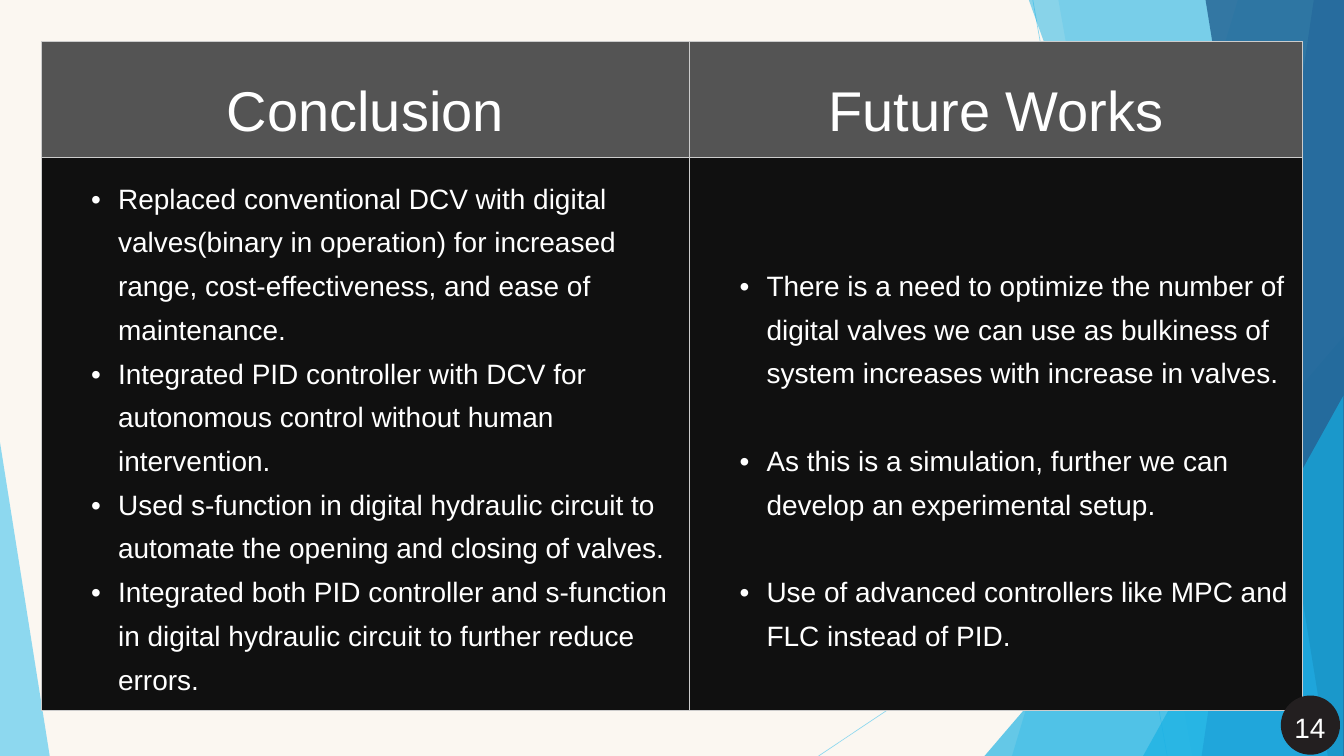
from dataclasses import dataclass

from lxml.etree import SubElement
from pptx import Presentation
from pptx.dml.color import RGBColor
from pptx.enum.shapes import MSO_CONNECTOR, MSO_SHAPE
from pptx.enum.text import MSO_ANCHOR, PP_ALIGN
from pptx.oxml.ns import qn
from pptx.util import Pt

WIDTH, HEIGHT = 1440, 810


@dataclass(frozen=True)
class Theme:
    font: str = "Arial"
    background: str = "FBF7F1"
    sky: str = "5FCBEF"
    cyan: str = "16B0E3"
    blue: str = "2E83C3"
    navy: str = "226292"
    header: str = "545454"
    body: str = "101010"
    border: str = "CCCCCC"
    badge: str = "231F20"
    text: str = "FFFFFF"
    heading_size: int = 60
    body_size: int = 30
    line_spacing: float = 1.4
    border_width: float = 0.75


class SlideBuilder:
    def __init__(self, slide, theme):
        self.slide = slide
        self.shapes = slide.shapes
        self.theme = theme
        fill = slide.background.fill
        fill.solid()
        fill.fore_color.rgb = RGBColor.from_string(theme.background)

    def set_alpha(self, sp, percent):
        for color in sp._element.iter(qn("a:srgbClr")):
            SubElement(color, qn("a:alpha"), val=str(percent * 1000))

    def paint(self, sp, color, alpha=100):
        sp.shadow.inherit = False
        sp.fill.solid()
        sp.fill.fore_color.rgb = RGBColor.from_string(color)
        sp.line.fill.background()
        if alpha < 100:
            self.set_alpha(sp, alpha)

    def line(self, start, end, color, alpha):
        sp = self.shapes.add_connector(
            MSO_CONNECTOR.STRAIGHT, *(Pt(v) for v in (*start, *end)))
        sp.line.color.rgb = RGBColor.from_string(color)
        sp.line.width = Pt(self.theme.border_width)
        SubElement(sp._element.spPr, qn("a:effectLst"))
        self.set_alpha(sp, alpha)

    def ray(self, top_left, bottom_left, color, alpha):
        """Full-height band running from its slanted left edge to the slide's right."""
        builder = self.shapes.build_freeform(Pt(top_left), 0)
        corners = [(WIDTH, 0), (WIDTH, HEIGHT), (bottom_left, HEIGHT)]
        builder.add_line_segments([(Pt(x), Pt(y)) for x, y in corners])
        self.paint(builder.convert_to_shape(), color, alpha)

    def shape(self, kind, box, color, alpha=100, adjustment=None):
        sp = self.shapes.add_shape(kind, *(Pt(v) for v in box))
        if adjustment is not None:
            sp.adjustments[0] = adjustment
        self.paint(sp, color, alpha)

    def fill_text(self, tf, texts, size, align=PP_ALIGN.LEFT, bullets=False, gap=0):
        tf.word_wrap = True
        for i, text in enumerate(texts):
            p = tf.paragraphs[0] if i == 0 else tf.add_paragraph()
            formats = {"alignment": align, "line_spacing": self.theme.line_spacing,
                       "space_before": Pt(gap if i else 0), "space_after": Pt(0)}
            for name, value in formats.items():
                setattr(p, name, value)
            if bullets:
                self.bullet(p)
            r = p.add_run()
            r.text = text
            for name, value in {"name": self.theme.font, "size": Pt(size)}.items():
                setattr(r.font, name, value)
            r.font.color.rgb = RGBColor.from_string(self.theme.text)

    def bullet(self, p):
        pPr = p._p.get_or_add_pPr()
        for name, value in {"marL": Pt(67.5), "indent": Pt(-28.8)}.items():
            pPr.set(name, str(value))
        color = SubElement(pPr, qn("a:buClr"))
        SubElement(color, qn("a:srgbClr"), val=self.theme.text)
        SubElement(pPr, qn("a:buFont"), typeface=self.theme.font)
        SubElement(pPr, qn("a:buChar"), char="•")

    def text(self, box, text, size, margin):
        sp = self.shapes.add_textbox(*(Pt(v) for v in box))
        tf = sp.text_frame
        tf.vertical_anchor = MSO_ANCHOR.MIDDLE
        for side in ("left", "top", "right", "bottom"):
            setattr(tf, f"margin_{side}", Pt(margin))
        self.fill_text(tf, [text], size, PP_ALIGN.CENTER)

    def table(self, left, top, widths, heights):
        table = self.shapes.add_table(
            len(heights), len(widths), Pt(left), Pt(top),
            Pt(sum(widths)), Pt(sum(heights))).table
        table.first_row = table.horz_banding = False
        for column, width in zip(table.columns, widths):
            column.width = Pt(width)
        for row, height in zip(table.rows, heights):
            row.height = Pt(height)
        return table

    def cell(self, cell, color, texts, size, margin=15, top=15, **style):
        formats = {"vertical_anchor": MSO_ANCHOR.MIDDLE, "margin_left": Pt(margin),
                   "margin_right": Pt(margin), "margin_top": Pt(top),
                   "margin_bottom": Pt(margin)}
        for name, value in formats.items():
            setattr(cell, name, value)
        tcPr = cell._tc.get_or_add_tcPr()
        for edge in ("lnL", "lnR", "lnT", "lnB"):
            ln = SubElement(tcPr, qn(f"a:{edge}"),
                            w=str(Pt(self.theme.border_width)))
            fill = SubElement(ln, qn("a:solidFill"))
            SubElement(fill, qn("a:srgbClr"), val=self.theme.border)
        cell.fill.solid()
        cell.fill.fore_color.rgb = RGBColor.from_string(color)
        self.fill_text(cell.text_frame, texts, size, **style)


CONCLUSIONS = [
    "Replaced conventional DCV with digital valves(binary in operation) for "
    "increased range, cost-effectiveness, and ease of maintenance.",
    "Integrated PID controller with DCV for autonomous control without human "
    "intervention.",
    "Used s-function in digital hydraulic circuit to automate the opening and "
    "closing of valves.",
    "Integrated both PID controller and s-function in digital hydraulic circuit "
    "to further reduce errors.",
]
FUTURE_WORKS = [
    "There is a need to optimize the number of digital valves we can use as "
    "bulkiness of system increases with increase in valves.",
    "As this is a simulation, further we can develop an experimental setup.",
    "Use of advanced controllers like MPC and FLC instead of PID.",
]


def draw_backdrop(s, theme):
    s.line((1106.6, 0), (1250.6, HEIGHT), theme.sky, 70)
    s.line((1439.3, 434.9), (877, HEIGHT), theme.sky, 70)
    triangle = MSO_SHAPE.ISOSCELES_TRIANGLE
    s.ray(1326.2, 1084.3, theme.sky, 36)
    s.ray(1134, 1277.3, theme.sky, 20)
    s.shape(triangle, (1054.8, 360, 385.2, 450), theme.cyan, 66, 1)
    s.ray(1102.3, 1394.6, theme.cyan, 50)
    s.ray(1407.6, 1287.4, theme.blue, 70)
    s.ray(1291.7, 1422.7, theme.navy, 80)
    s.shape(triangle, (1224.7, 424, 214.6, 386), theme.cyan, 66, 1)
    s.shape(triangle, (0, 473.8, 53.3, 336.2), theme.sky, 70, 0)


def main():
    theme = Theme()
    prs = Presentation()
    prs.slide_width, prs.slide_height = Pt(WIDTH), Pt(HEIGHT)
    s = SlideBuilder(prs.slides.add_slide(prs.slide_layouts[6]), theme)
    draw_backdrop(s, theme)

    table = s.table(44, 44.6, widths=(694.8, 656.6), heights=(120, 582))
    line_gap = 47
    columns = [("Conclusion", CONCLUSIONS, 0), ("Future Works", FUTURE_WORKS, line_gap)]
    for i, (heading, points, gap) in enumerate(columns):
        s.cell(table.cell(0, i), theme.header, [heading], theme.heading_size,
               align=PP_ALIGN.CENTER)
        s.cell(table.cell(1, i), theme.body, points, theme.body_size,
               top=15 + gap, bullets=True, gap=gap)

    s.shape(MSO_SHAPE.OVAL, (1372.3, 745.2, 63.4, 63.4), theme.badge)
    s.text((1378, 741.6, 51, 60.5), "14", theme.body_size, margin=4)
    prs.save("out.pptx")


if __name__ == "__main__":
    main()
